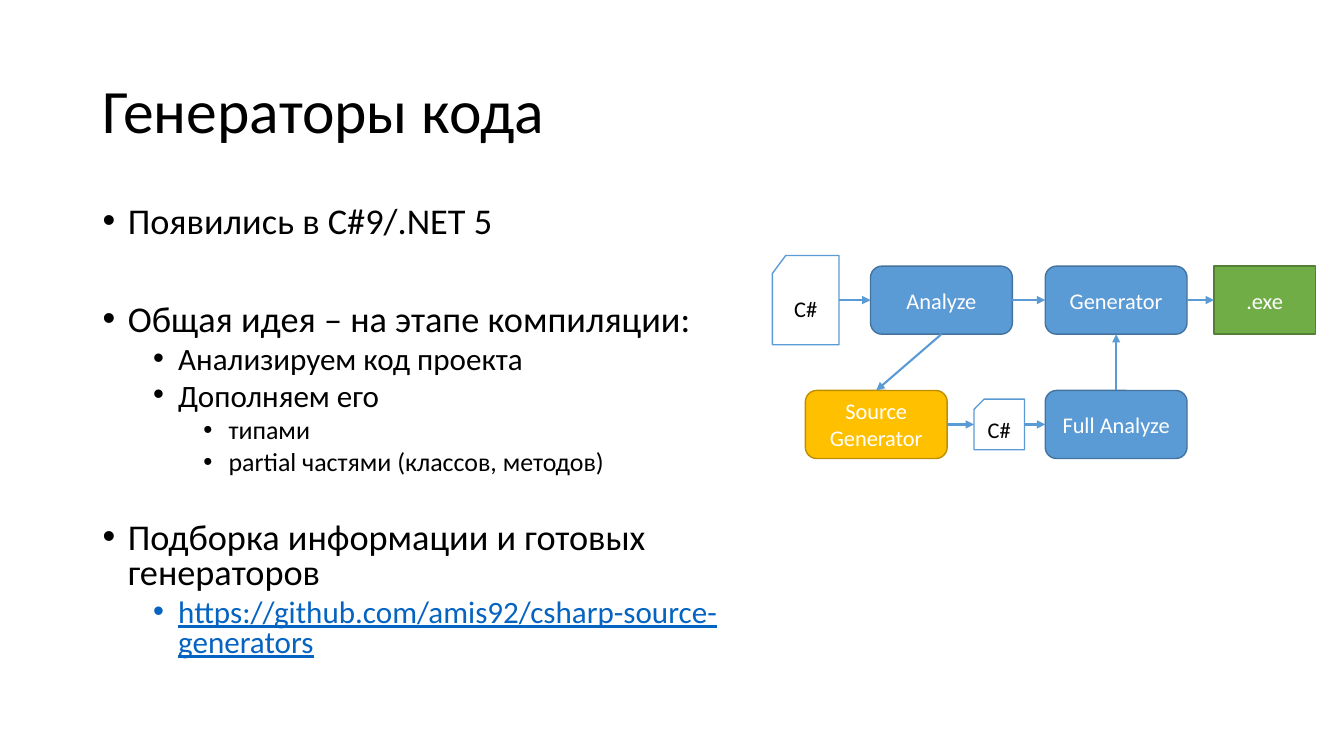
from lxml import etree
from pptx import Presentation
from pptx.dml.color import RGBColor
from pptx.enum.shapes import MSO_CONNECTOR as CONN, MSO_SHAPE as SHAPE
from pptx.enum.text import MSO_ANCHOR as ANCHOR, MSO_AUTO_SIZE as AUTO, PP_ALIGN as ALIGN
from pptx.oxml.ns import qn
from pptx.util import Inches, Pt

COLORS = {
    "black": "000000", "white": "FFFFFF", "blue": "5B9BD5", "blue_edge": "43739E",
    "green": "70AD47", "green_edge": "538035", "amber": "FFC000",
    "amber_edge": "BD8E00", "link": "0563C1",
}
TOP, LEFT, BOTTOM, RIGHT = range(4)


def rgb(name):
    return RGBColor.from_string(COLORS[name])


def add_text(p, text, size=16, color="black", underline=None, align=ALIGN.LEFT,
             spacing=None, before=0):
    p.alignment = align
    p.space_before = Pt(before)
    if spacing:
        p.line_spacing = spacing
    r = p.add_run()
    r.text = text
    r.font.name = "Calibri"
    r.font.size = Pt(size)
    r.font.underline = underline
    r.font.color.rgb = rgb(color)


class Deck:
    """Holds the style and the current slide; lengths are percent of the slide."""

    # kind: preset, width, height, fill, line, text colour
    KINDS = {
        "source": (SHAPE.FLOWCHART_CARD, 4.95, 11.8, "white", "blue", "black"),
        "generated": (SHAPE.FLOWCHART_CARD, 3.75, 6.7, "white", "blue", "black"),
        "step": (SHAPE.FLOWCHART_ALTERNATE_PROCESS, 10.55, 9, "blue", "blue_edge", "white"),
        "plugin": (SHAPE.FLOWCHART_ALTERNATE_PROCESS, 10.55, 9, "amber", "amber_edge", "white"),
        "output": (SHAPE.FLOWCHART_PROCESS, 7.55, 9, "green", "green_edge", "white"),
    }
    # level: text size, space before
    LEVELS = [(25.9, 10), (22.2, 5), (18.5, 5)]

    def __init__(self):
        self.prs = Presentation()
        self.prs.slide_width, self.prs.slide_height = Inches(13.33), Inches(7.5)
        self.slide = self.prs.slides.add_slide(self.prs.slide_layouts[5])

    def area(self, x, y, w, h):
        sw, sh = self.prs.slide_width, self.prs.slide_height
        return [int(share * full / 100)
                for share, full in ((x, sw), (y, sh), (w, sw), (h, sh))]

    def title(self, text, *area):
        sp = self.slide.shapes.title
        sp.left, sp.top, sp.width, sp.height = self.area(*area)
        tf = sp.text_frame
        tf.auto_size = AUTO.NONE
        tf.vertical_anchor = ANCHOR.MIDDLE
        add_text(tf.paragraphs[0], text, size=44, spacing=0.9)

    def bullets(self, items, *area):
        tf = self.slide.shapes.add_textbox(*self.area(*area)).text_frame
        tf.word_wrap = True
        for i, (level, text, gap, style) in enumerate(items):
            p = tf.paragraphs[0] if i == 0 else tf.add_paragraph()
            pPr = p._p.get_or_add_pPr()
            pPr.set("marL", str(Inches(0.25 + 0.5 * level)))
            pPr.set("indent", str(Inches(-0.25)))
            etree.SubElement(pPr, qn("a:buFont"), typeface="Arial")
            etree.SubElement(pPr, qn("a:buChar"), char="•")
            size, before = self.LEVELS[level]
            add_text(p, text, size=size, spacing=0.8,
                     before=before + gap if i else 0, **style)

    def node(self, kind, text, cx, cy):
        preset, w, h, fill, line, color = self.KINDS[kind]
        sp = self.slide.shapes.add_shape(
            preset, *self.area(cx - w / 2, cy - h / 2, w, h))
        sp.shadow.inherit = False
        sp.fill.solid()
        sp.fill.fore_color.rgb = rgb(fill)
        sp.line.color.rgb = rgb(line)
        sp.line.width = Pt(1)
        tf = sp.text_frame
        tf.word_wrap = True
        tf.vertical_anchor = ANCHOR.MIDDLE
        add_text(tf.paragraphs[0], text, color=color, align=ALIGN.CENTER)
        return sp

    def arrow(self, start, start_side, end, end_side):
        c = self.slide.shapes.add_connector(CONN.STRAIGHT, 0, 0, 0, 0)
        c.begin_connect(start, start_side)
        c.end_connect(end, end_side)
        c.line.color.rgb = rgb("blue")
        c.line.width = Pt(1.5)
        etree.SubElement(c.line._get_or_add_ln(), qn("a:tailEnd"), type="triangle")
        etree.SubElement(c._element.spPr, qn("a:effectLst"))


def main():
    deck = Deck()
    deck.title("Генераторы кода", 6.9, 5.33, 86.25, 19.33)

    # Bullets: level, text, extra gap above in points, run format
    deck.bullets([
        (0, "Появились в C#9/.NET 5", 0, {}),
        (0, "Общая идея – на этапе компиляции:", 35, {}),
        (1, "Анализируем код проекта", 0, {}),
        (1, "Дополняем его", 0, {}),
        (2, "типами", 0, {}),
        (2, "partial частями (классов, методов)", 0, {}),
        (0, "Подборка информации и готовых генераторов", 23, {}),
        (1, "https://github.com/amis92/csharp-source-generators", 0,
         {"color": "link", "underline": True}),
    ], 6.9, 26.67, 47.8, 63.5)

    # Compilation pipeline: main row above, generator row below
    upper, lower = 39.7, 56.15
    source = deck.node("source", "C#", 59.95, upper)
    analyze = deck.node("step", "Analyze", 70.05, upper)
    generator = deck.node("step", "Generator", 83.05, upper)
    exe = deck.node("output", ".exe", 94.1, upper)
    plugin = deck.node("plugin", "Source Generator", 65.2, lower)
    generated = deck.node("generated", "C#", 74.35, lower)
    full = deck.node("step", "Full Analyze", 83.05, lower)

    # Arrows along each row, then between the rows
    for row in ((source, analyze, generator, exe), (plugin, generated, full)):
        for start, end in zip(row, row[1:]):
            deck.arrow(start, RIGHT, end, LEFT)
    deck.arrow(analyze, BOTTOM, plugin, TOP)
    deck.arrow(full, TOP, generator, BOTTOM)

    deck.prs.save("out.pptx")


if __name__ == "__main__":
    main()
